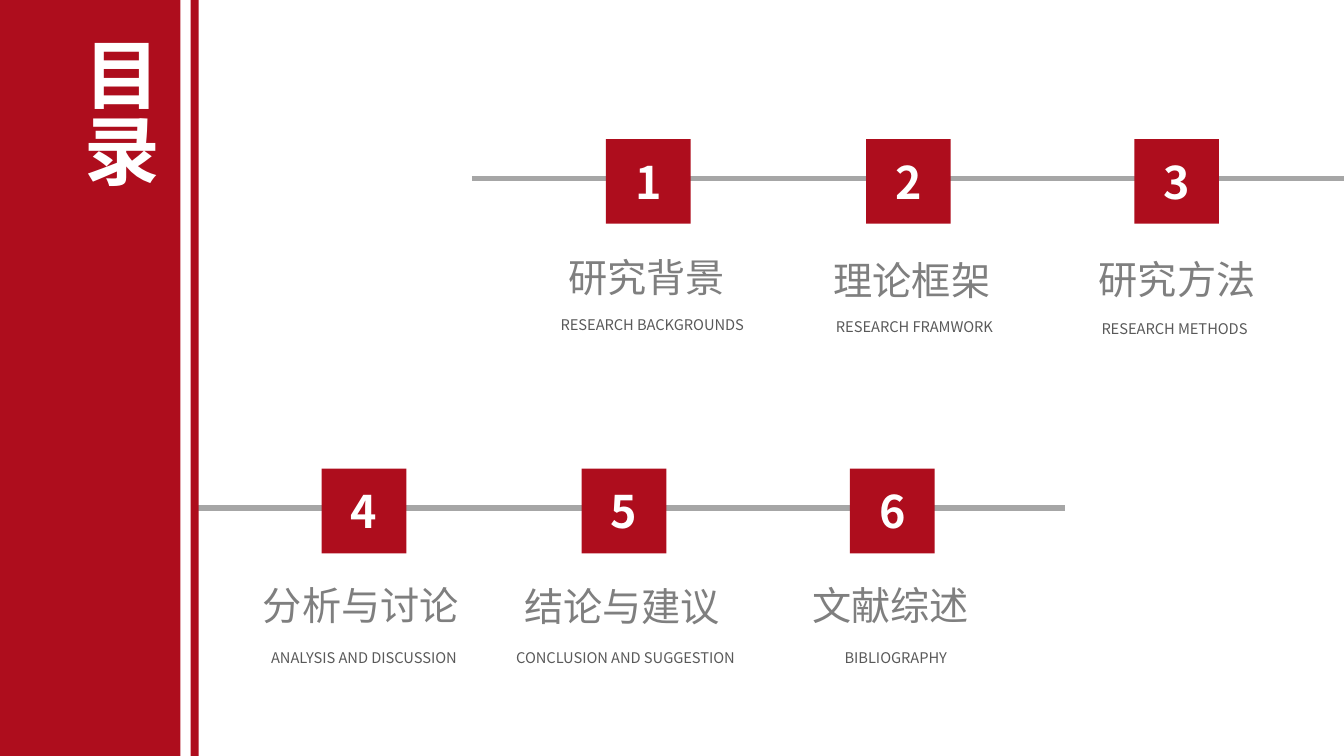
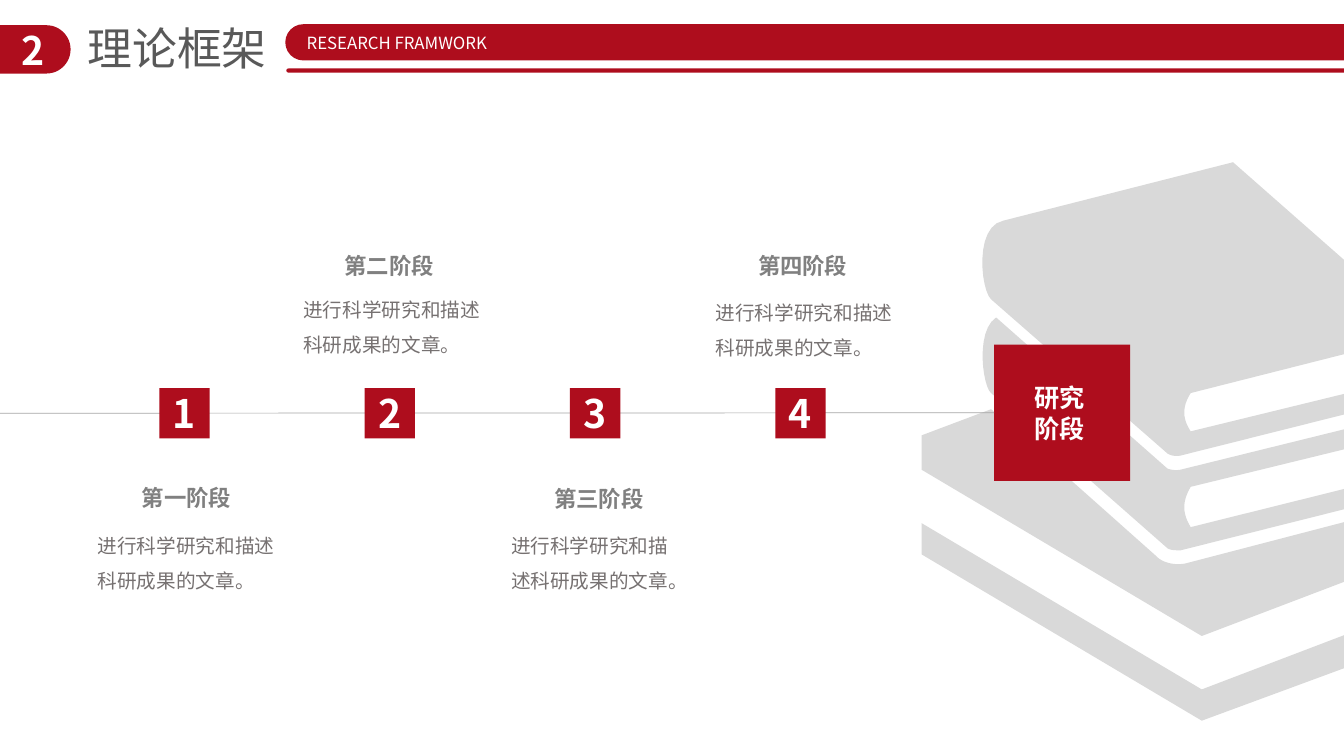
import pptx
import pptx.dml.color
import pptx.enum.shapes
import pptx.enum.text
import pptx.oxml.ns
import pptx.util
from lxml import etree

Inches = pptx.util.Inches
RGBColor = pptx.dml.color.RGBColor
SHAPE = pptx.enum.shapes.MSO_SHAPE
ALIGN = pptx.enum.text.PP_ALIGN
ANCHOR = pptx.enum.text.MSO_ANCHOR
AUTO_SIZE = pptx.enum.text.MSO_AUTO_SIZE

# Shared style
FONT = "Noto Sans CJK SC"
RED = RGBColor(0xAE, 0x0D, 0x1D)
WHITE = RGBColor(0xFF, 0xFF, 0xFF)
LINE_GRAY = RGBColor(0xA6, 0xA6, 0xA6)
BOOK_GRAY = RGBColor(0xD9, 0xD9, 0xD9)
DARK_GRAY = RGBColor(0x59, 0x59, 0x59)
MID_GRAY = RGBColor(0x7F, 0x7F, 0x7F)
STAGE_GRAY = RGBColor(0x80, 0x80, 0x80)
BODY_GRAY = RGBColor(0x76, 0x71, 0x71)
WIDTH, HEIGHT = 13.33, 7.5


def set_attributes(target, values):
    for name, value in values.items():
        setattr(target, name, value)


def flatten(outline, steps=12):
    """Turn points and cubic curves (two controls, one end) into points."""
    points = []
    for part in outline:
        if len(part) == 2:
            points.append(part)
            continue
        knots = [points[-1], part[:2], part[2:4], part[4:]]
        for step in range(1, steps + 1):
            t = step / steps
            weights = ((1 - t) ** 3, 3 * t * (1 - t) ** 2, 3 * t * t * (1 - t), t ** 3)
            points.append(tuple(sum(w * k[axis] for w, k in zip(weights, knots))
                                for axis in (0, 1)))
    return [(Inches(x), Inches(y)) for x, y in points]


class Deck:
    def __init__(self):
        self.prs = pptx.Presentation()
        self.prs.slide_width, self.prs.slide_height = Inches(WIDTH), Inches(HEIGHT)
        self.slide = None

    def new_slide(self):
        self.slide = self.prs.slides.add_slide(self.prs.slide_layouts[6])

    def paint(self, shape, color):
        shape.shadow.inherit = False
        shape.fill.solid()
        shape.fill.fore_color.rgb = color
        shape.line.fill.background()

    def add_words(self, frame, text, size, color, bold=False, align=ALIGN.LEFT, spacing=None):
        paragraph = frame.paragraphs[0]
        set_attributes(paragraph, {"alignment": align, "line_spacing": spacing})
        run = paragraph.add_run()
        run.text = text
        run.font.color.rgb = color
        set_attributes(run.font, {"size": pptx.util.Pt(size), "bold": bold, "name": FONT})
        east_asian = etree.SubElement(run._r.get_or_add_rPr(), pptx.oxml.ns.qn("a:ea"))
        east_asian.set("typeface", FONT)

    def text(self, box, text, size, color, wrap=False, **style):
        frame = self.slide.shapes.add_textbox(*map(Inches, box)).text_frame
        set_attributes(frame, {"word_wrap": wrap, "auto_size": AUTO_SIZE.SHAPE_TO_FIT_TEXT})
        self.add_words(frame, text, size, color, **style)
        return frame

    def block(self, box, text="", size=18, kind=SHAPE.RECTANGLE, left=0, right=0,
              bold=True, align=ALIGN.CENTER):
        shape = self.slide.shapes.add_shape(kind, *map(Inches, box))
        self.paint(shape, RED)
        if kind == SHAPE.ROUNDED_RECTANGLE:
            shape.adjustments[0] = 0.5
        if text:
            frame = shape.text_frame
            set_attributes(frame, {
                "margin_left": Inches(left), "margin_right": Inches(right),
                "margin_top": 0, "margin_bottom": 0,
                "vertical_anchor": ANCHOR.MIDDLE, "word_wrap": True})
            self.add_words(frame, text, size, WHITE, bold=bold, align=align)
        return shape

    def line(self, start, end, y, weight):
        connector = self.slide.shapes.add_connector(
            pptx.enum.shapes.MSO_CONNECTOR.STRAIGHT,
            Inches(start), Inches(y), Inches(end), Inches(y))
        connector.line.color.rgb = LINE_GRAY
        connector.line.width = pptx.util.Pt(weight)
        etree.SubElement(connector._element.spPr, pptx.oxml.ns.qn("a:effectLst"))
        return connector

    def outline(self, contours, color):
        builder = None
        for contour in contours:
            first, *rest = flatten(contour)
            if builder is None:
                builder = self.slide.shapes.build_freeform(*first, scale=1.0)
            else:
                builder.move_to(*first)
            builder.add_line_segments(rest, close=True)
        self.paint(builder.convert_to_shape(), color)


# Contents: heading, heading corner, translation, translation box
CHAPTER_ROWS = [
    {"line": (4.68, WIDTH), "left": 6.01, "top": 1.38, "chapters": [
        ("研究背景", (5.54, 2.46), "RESEARCH BACKGROUNDS", (5.4, 3.08, 2.14)),
        ("理论框架", (8.17, 2.49), "RESEARCH FRAMWORK", (8.13, 3.1, 1.88)),
        ("研究方法", (10.8, 2.48), "RESEARCH METHODS", (10.78, 3.12, 1.74))]},
    {"line": (1.9, 10.56), "left": 3.19, "top": 4.65, "chapters": [
        ("分析与讨论", (2.51, 5.72), "ANALYSIS AND DISCUSSION", (2.45, 6.39, 2.32)),
        ("结论与建议", (5.1, 5.73), "CONCLUSION AND SUGGESTION", (4.93, 6.39, 2.55)),
        ("文献综述", (7.96, 5.72), "BIBLIOGRAPHY", (8.25, 6.39, 1.27))]},
]
CHAPTER_OFFSETS = (0, 2.58, 5.24)
CHAPTER_SIDE = 0.84

# Stages: heading, heading corner, body box
STAGE_BODY = "进行科学研究和描述科研成果的文章。"
STAGES = [
    ("第一阶段", (1.31, 4.75), (0.87, 5.13, 1.99)),
    ("第二阶段", (3.32, 2.45), (2.91, 2.79, 2.04)),
    ("第三阶段", (5.4, 4.76), (4.97, 5.13, 1.95)),
    ("第四阶段", (7.42, 2.45), (7, 2.82, 2.07)),
]
STAGE_FIRST, STAGE_LAST, STAGE_SIDE = 1.58, 7.69, 0.5

BOOKS = [
    # Middle book
    [(13.98, 4.1), (13.98, 4.3), (11.81, 4.83), (11.72, 4.98, 11.73, 5.1, 11.81, 5.23),
     (13.98, 4.69), (13.98, 4.89), (11.71, 5.46), (11.66, 5.46, 11.61, 5.46, 11.58, 5.44),
     (9.83, 3.9), (9.75, 3.84, 9.67, 3.29, 9.88, 3.15),
     (11.58, 4.65), (11.61, 4.66, 11.66, 4.67, 11.71, 4.66)],
    # Top book
    [(9.95, 2.19), (12.23, 1.61), (13.98, 3.15), (13.98, 3.35), (11.81, 3.9),
     (11.72, 4.04, 11.73, 4.16, 11.81, 4.28), (13.98, 3.75), (13.98, 3.95),
     (11.71, 4.52), (11.66, 4.53, 11.61, 4.52, 11.58, 4.5),
     (9.83, 2.97), (9.73, 2.88, 9.66, 2.25, 9.95, 2.19)],
    # Bottom cover
    [(11.92, 6.84), (9.14, 5.19), (9.14, 5.5), (11.92, 7.15), (13.52, 6.56), (13.52, 6.23)],
    # Bottom book
    [(14.1, 4.98), (11.76, 5.59), (11.66, 5.61, 11.53, 5.59, 11.46, 5.51), (9.83, 4.06),
     (9.14, 4.32), (9.14, 4.66), (11.92, 6.31), (14.1, 5.48)],
]


def contents_slide(deck):
    deck.new_slide()
    number = 0
    for row in CHAPTER_ROWS:
        deck.line(*row["line"], row["top"] + 0.39, 4)
        for offset, chapter in zip(CHAPTER_OFFSETS, row["chapters"]):
            heading, corner, translation, (left, top, width) = chapter
            number += 1
            deck.block((row["left"] + offset, row["top"], CHAPTER_SIDE, CHAPTER_SIDE),
                       str(number), 32)
            heading_width = 0.39 * len(heading) + 0.21
            deck.text((*corner, heading_width, 0.57), heading, 28, MID_GRAY)
            deck.text((left, top, width, 0.28), translation, 10.5, DARK_GRAY,
                      align=ALIGN.CENTER)

    # Side band with the vertical title
    for left, width in ((0, 1.79), (1.89, 0.08)):
        deck.block((left, 0, width, HEIGHT))
    title = deck.text((0.58, 0.27, 1.11, 1.92), "目录", 54, WHITE, wrap=True,
                      bold=True, align=ALIGN.JUSTIFY)
    title._txBody.bodyPr.set("vert", "eaVert")


def framework_slide(deck):
    deck.new_slide()
    deck.outline(BOOKS, BOOK_GRAY)

    # Header
    pill = SHAPE.ROUNDED_RECTANGLE
    deck.block((-0.28, 0.25, 0.98, 0.48), "2", 28, kind=pill, left=0.28, right=0.05)
    deck.text((0.77, 0.16, 2, 0.64), "理论框架", 32, DARK_GRAY)
    deck.block((2.83, 0.24, 11.03, 0.36), "RESEARCH FRAMWORK", 12, kind=pill,
               left=0.16, bold=False, align=ALIGN.LEFT)
    deck.block((2.84, 0.68, 11.03, 0.04), kind=pill)

    # Timeline and its goal
    goal = deck.block((9.86, 3.42, 1.35, 1.35), "研究阶段", 18, left=0.4, right=0.4,
                      align=ALIGN.LEFT)
    timeline = deck.line(0, 9.86, 4.1, 0.5)
    timeline.end_connect(goal, 1)

    # Stages
    gap = (STAGE_LAST - STAGE_FIRST) / (len(STAGES) - 1)
    for index, (heading, corner, (left, top, width)) in enumerate(STAGES):
        deck.block((STAGE_FIRST + index * gap, 3.85, STAGE_SIDE, STAGE_SIDE),
                   str(index + 1), 28)
        deck.text((*corner, 1.1, 0.37), heading, 16, STAGE_GRAY, bold=True)
        deck.text((left, top, width, 0.81), STAGE_BODY, 14, BODY_GRAY, wrap=True,
                  spacing=1.5)


def main():
    deck = Deck()
    contents_slide(deck)
    framework_slide(deck)
    deck.prs.save("out.pptx")


if __name__ == "__main__":
    main()
